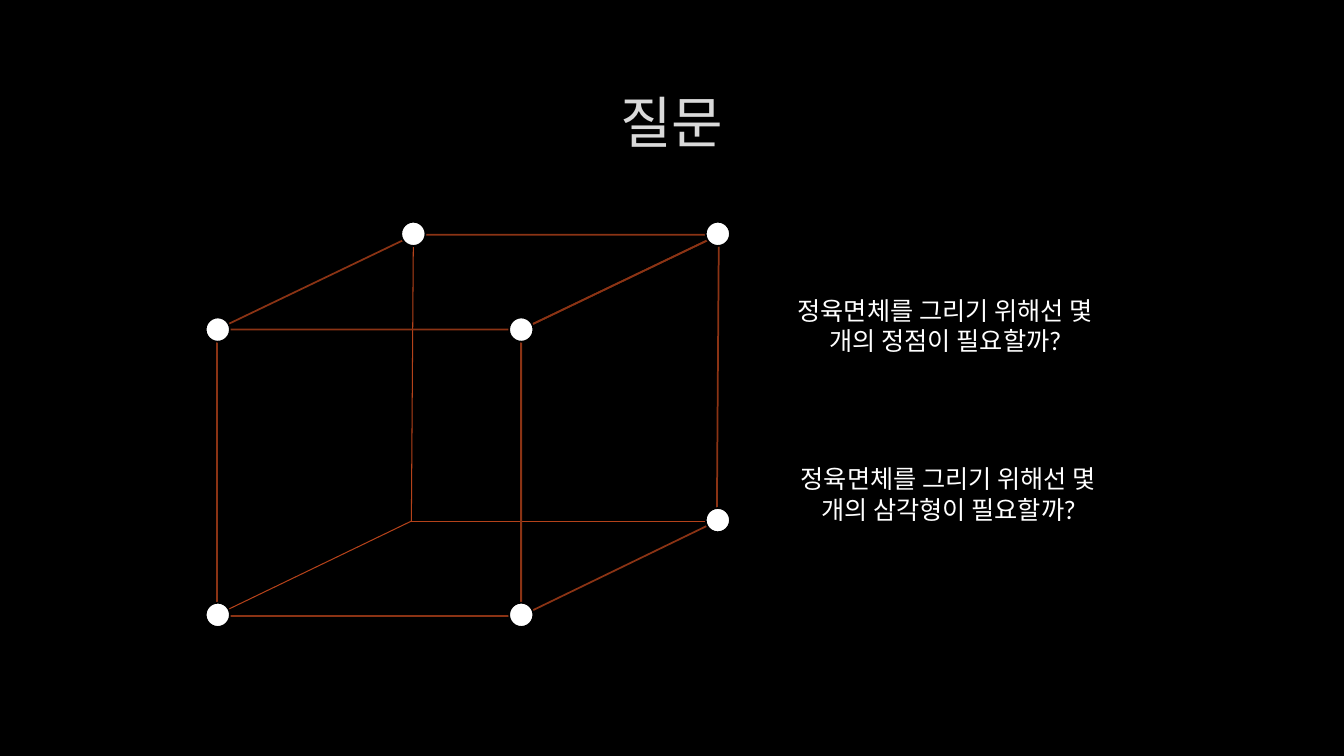
from typing import NamedTuple

from lxml.etree import SubElement
from pptx import Presentation
from pptx.dml.color import RGBColor
from pptx.enum.shapes import MSO_CONNECTOR, MSO_SHAPE
from pptx.enum.text import MSO_ANCHOR, PP_ALIGN
from pptx.oxml import parse_xml
from pptx.oxml.ns import qn
from pptx.util import Emu, Pt

SCALE = 9144
FONT = "Lato"
BLACK, WHITE, TITLE = "000000", "FFFFFF", "DADADA"
FACE, BACK = "8B3314", "B4421A"
DOT = 24
NS = "http://schemas.openxmlformats.org/drawingml/2006/main"
GLOW = (
    f'<a:ln xmlns:a="{NS}" w="9525"><a:solidFill><a:srgbClr val="404040">'
    '<a:alpha val="10000"/></a:srgbClr></a:solidFill></a:ln>'
)


class Point(NamedTuple):
    x: int
    y: int


class Box(NamedTuple):
    x: int
    y: int
    w: int
    h: int


class Note(NamedTuple):
    text: str
    box: Box


FRONT = Box(215, 327, 302, 284)
LEFT, RIGHT = FRONT.x, FRONT.x + FRONT.w
TOP, BASE = FRONT.y, FRONT.y + FRONT.h
HIDDEN = Point(408, 517)
FAR_LEFT, FAR_RIGHT = Point(411, 233), Point(713, 233)
FAR_BASE = Point(711, 517)

FACES = [
    [FAR_LEFT, FAR_RIGHT, Point(RIGHT, TOP), Point(LEFT, TOP)],
    [Point(RIGHT, TOP), FAR_RIGHT, FAR_BASE, Point(RIGHT, BASE)],
]
HIDDEN_ENDS = [Point(410, 233), Point(LEFT, 610), Point(710, 517)]
DOTS = [Point(x, y) for y in (TOP, 610) for x in (LEFT + 1, RIGHT)]
DOTS += [Point(410, 232), Point(712, 232), Point(712, 516)]
NOTES = [
    Note("정육면체를 그리기 위해선 몇 개의 정점이 필요할까?", Box(776, 288, 323, 71)),
    Note("정육면체를 그리기 위해선 몇 개의 삼각형이 필요할까?", Box(779, 455, 323, 71)),
]


def px(size: int) -> Emu:
    return Emu(size * SCALE)


def paint(color: str) -> RGBColor:
    return RGBColor.from_string(color)


def style(shape, line: str, fill: str = "") -> None:
    shape.shadow.inherit = False
    if fill:
        shape.fill.solid()
        shape.fill.fore_color.rgb = paint(fill)
    else:
        shape.fill.background()
    shape.line.color.rgb = paint(line)
    shape.line.width = Pt(1.25)


def write(slide, text: str, box: Box, *, size: int, color: str,
          anchor=MSO_ANCHOR.TOP, glow: bool = False) -> None:
    frame = slide.shapes.add_textbox(*map(px, box)).text_frame
    frame.word_wrap = True
    frame.vertical_anchor = anchor
    para = frame.paragraphs[0]
    para.alignment = PP_ALIGN.CENTER
    run = para.add_run()
    run.text = text
    run.font.size = Pt(size)
    run.font.name = FONT
    run.font.color.rgb = paint(color)
    if glow:
        run._r.get_or_add_rPr().insert(0, parse_xml(GLOW))


def edge(slide, start: Point, end: Point) -> None:
    line = slide.shapes.add_connector(
        MSO_CONNECTOR.STRAIGHT, *map(px, (*start, *end)))
    line.line.color.rgb = paint(BACK)
    line.line.width = Pt(0.75)
    SubElement(line._element.spPr, qn("a:effectLst"))


def face(slide, points: list[Point]) -> None:
    first, *rest = points
    form = slide.shapes.build_freeform(first.x, first.y, scale=SCALE)
    form.add_line_segments(rest, close=True)
    style(form.convert_to_shape(), FACE)


def dot(slide, spot: Point) -> None:
    box = Box(spot.x - DOT // 2, spot.y - DOT // 2, DOT, DOT)
    style(slide.shapes.add_shape(MSO_SHAPE.OVAL, *map(px, box)), BLACK, WHITE)


def main() -> None:
    deck = Presentation()
    deck.slide_width, deck.slide_height = px(1333), px(750)
    slide = deck.slides.add_slide(deck.slide_layouts[6])
    slide.background.fill.solid()
    slide.background.fill.fore_color.rgb = paint(BLACK)

    for end in HIDDEN_ENDS:
        edge(slide, HIDDEN, end)
    write(slide, "질문", Box(100, 67, 1132, 106), size=40, color=TITLE,
          anchor=MSO_ANCHOR.MIDDLE, glow=True)
    style(slide.shapes.add_shape(MSO_SHAPE.RECTANGLE, *map(px, FRONT)), FACE)
    for points in FACES:
        face(slide, points)
    for spot in DOTS:
        dot(slide, spot)
    for note in NOTES:
        write(slide, note.text, note.box, size=18, color=WHITE)

    deck.save("out.pptx")


if __name__ == "__main__":
    main()
